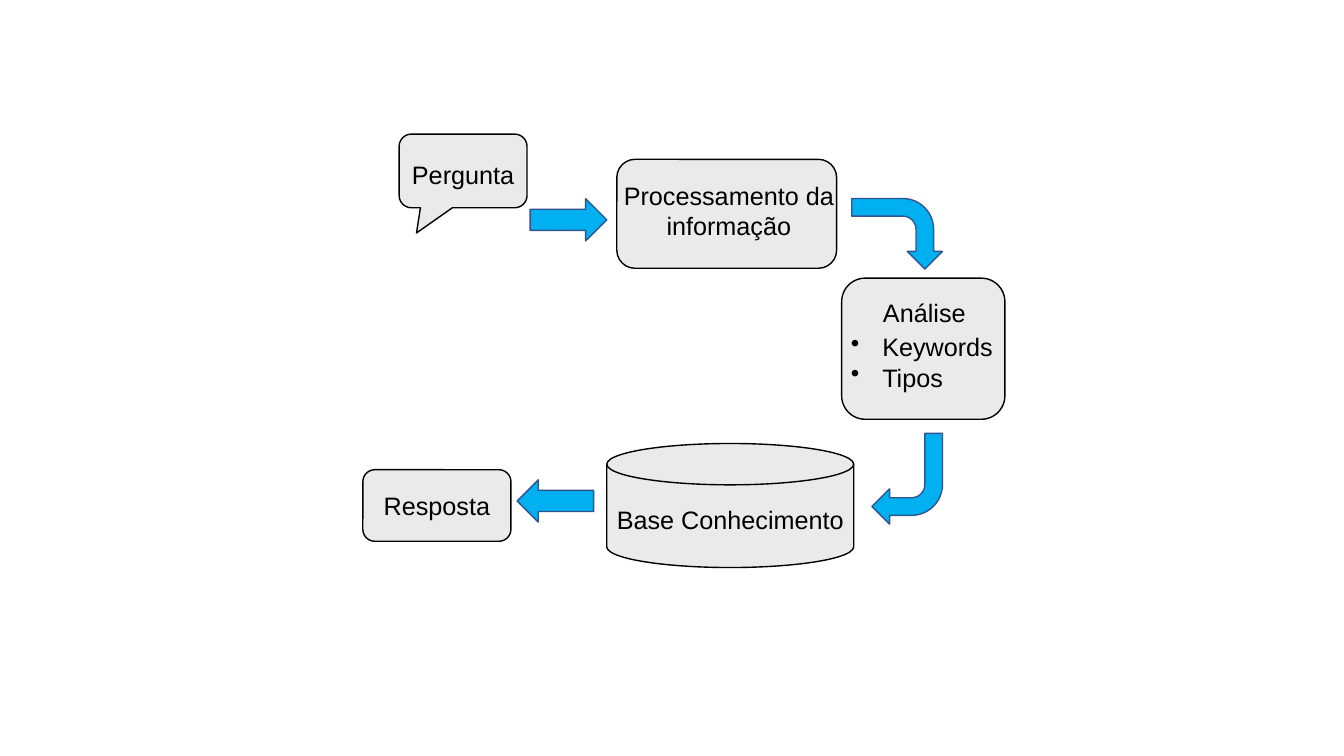
import dataclasses

import pptx
import pptx.dml.color
import pptx.enum.shapes
import pptx.enum.text
import pptx.oxml.ns
import pptx.oxml.xmlchemy
import pptx.util


@dataclasses.dataclass(frozen=True)
class Theme:
    box: str = "EAEAEA"
    ink: str = "000000"
    arrow: str = "00B0F0"
    arrow_line: str = "2F528F"
    bent_line: str = "325491"
    font: str = "Arial"
    size: int = 18


theme = Theme()
Pt = pptx.util.Pt
Kind = pptx.enum.shapes.MSO_SHAPE
Align = pptx.enum.text.PP_ALIGN
color = pptx.dml.color.RGBColor.from_string

presentation = pptx.Presentation()
presentation.slide_width = Pt(960)
presentation.slide_height = Pt(540)
slide = presentation.slides.add_slide(presentation.slide_layouts[6])


def add_label(text, left, top, width, height=28.8, align=Align.CENTER, bullet=None, indent=22.5):
    label = slide.shapes.add_textbox(Pt(left), Pt(top), Pt(width), Pt(height))
    frame = label.text_frame
    frame.word_wrap = True
    frame.margin_left = frame.margin_right = 0
    frame.text = text
    for paragraph in frame.paragraphs:
        paragraph.alignment = align
        if bullet:
            properties = paragraph._p.get_or_add_pPr()
            properties.set("marL", str(Pt(indent)))
            properties.set("indent", str(-Pt(indent)))
            mark = pptx.oxml.xmlchemy.OxmlElement("a:buChar")
            mark.set("char", bullet)
            properties.append(mark)
        for run in paragraph.runs:
            run.font.name = theme.font
            run.font.size = Pt(theme.size)
            run.font.color.rgb = color(theme.ink)


def add_figure(kind, left, top, width, height, fill, line, rotation=0):
    shape = slide.shapes.add_shape(kind, Pt(left), Pt(top), Pt(width), Pt(height))
    shape.shadow.inherit = False
    shape.fill.solid()
    shape.fill.fore_color.rgb = color(fill)
    shape.line.color.rgb = color(line)
    shape.line.width = Pt(1)
    shape.rotation = rotation
    return shape


steps = [
    (Kind.ROUNDED_RECTANGLE, 440.6, 113.8, 157, 77.8),
    (Kind.ROUNDED_RECTANGLE, 259.2, 335.5, 105.8, 51.1),
    (Kind.ROUNDED_RECTANGLE, 601.2, 198.7, 116.6, 100.8),
    (Kind.FLOWCHART_MAGNETIC_DISK, 433.4, 316.8, 176.4, 88.6),
]
for step in steps:
    add_figure(*step, theme.box, theme.ink)

question = add_figure(Kind.ROUNDED_RECTANGULAR_CALLOUT, 285.1, 95.8, 91.4, 52.6, theme.box, theme.ink)
for index, value in enumerate((-0.364, 0.843, 0.167)):
    question.adjustments[index] = value

add_label("Pergunta", 285.1, 110.2, 91.4)
add_label("Processamento da informação", 442.1, 125.3, 157, 51.1)
add_label("Análise", 604.1, 208.8, 112.3)
add_label("Keywords\nTipos", 607.7, 233.3, 109, 51.1, align=Align.LEFT, bullet="•")
add_label("Base Conhecimento", 433.4, 356.4, 176.4)
add_label("Resposta", 259.2, 347, 105.8)

for left, top, rotation in [(391, 129.6, 270), (381.6, 330.5, 90)]:
    add_figure(Kind.DOWN_ARROW, left, top, 30.2, 54.7, theme.arrow, theme.arrow_line, rotation)
for left, top, rotation in [(615.6, 134.6, 90), (622.8, 309.6, 180)]:
    add_figure(Kind.BENT_ARROW, left, top, 50.4, 64.8, theme.arrow, theme.bent_line, rotation)

presentation.save("out.pptx")
